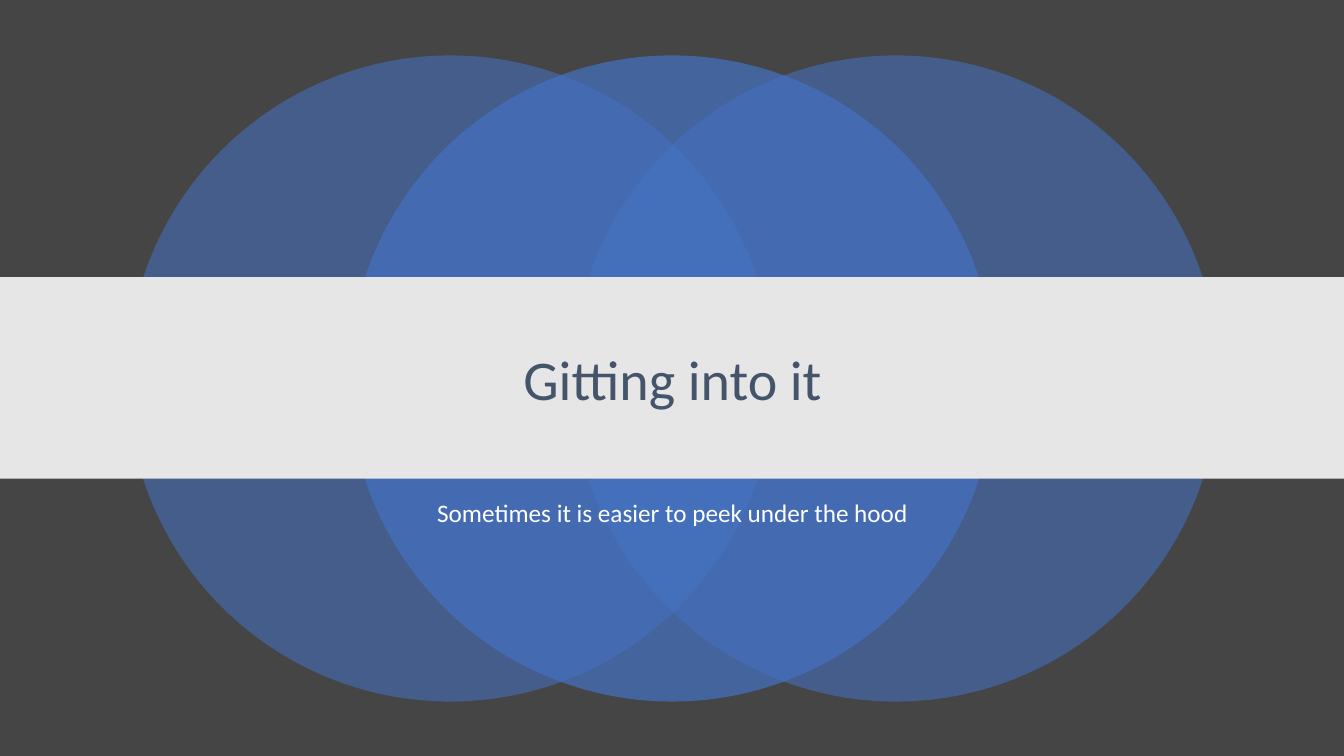
from dataclasses import dataclass

from lxml import etree
from pptx import Presentation
from pptx.dml.color import RGBColor
from pptx.enum import shapes, text
from pptx.oxml import ns
from pptx.util import Inches, Pt

CHARCOAL = RGBColor(0x45, 0x45, 0x45)
BLUE = RGBColor(0x44, 0x72, 0xC4)
LIGHT_GRAY = RGBColor(0xE7, 0xE6, 0xE6)
SLATE = RGBColor(0x44, 0x54, 0x6A)
WHITE = RGBColor(0xFF, 0xFF, 0xFF)
FONT = "Calibri"
SLIDE_WIDTH, SLIDE_HEIGHT = 13.33, 7.5
DIAMETER = 6.41
CIRCLE_TOP = 0.55


@dataclass(frozen=True)
class Circle:
    left: float
    opacity: int


CIRCLES = [Circle(1.26, 55), Circle(5.68, 55), Circle(3.46, 70)]


def add_filled_shape(page, kind, left: float, top: float, width: float,
                     height: float, color: RGBColor, opacity: int = 100):
    shape = page.shapes.add_shape(
        kind, Inches(left), Inches(top), Inches(width), Inches(height))
    shape.shadow.inherit = False
    shape.line.fill.background()
    shape.fill.solid()
    shape.fill.fore_color.rgb = color
    if opacity < 100:
        swatch = shape.element.spPr.find(".//" + ns.qn("a:srgbClr"))
        etree.SubElement(swatch, ns.qn("a:alpha"), val=str(opacity * 1000))
    return shape


def write_text(box, words: str, *, top: float, height: float, size: float,
               color: RGBColor, anchor, space_before: float = 0) -> None:
    box.left, box.top = Inches(1.67), Inches(top)
    box.width, box.height = Inches(10), Inches(height)
    frame = box.text_frame
    frame.word_wrap = True
    frame.auto_size = text.MSO_AUTO_SIZE.NONE
    frame.vertical_anchor = anchor
    para = frame.paragraphs[0]
    para.alignment = text.PP_ALIGN.CENTER
    para.line_spacing = 0.9
    para.space_before = Pt(space_before)
    span = para.add_run()
    span.text = words
    span.font.name = FONT
    span.font.size = Pt(size)
    span.font.color.rgb = color


def main() -> None:
    deck = Presentation()
    deck.slide_width = Inches(SLIDE_WIDTH)
    deck.slide_height = Inches(SLIDE_HEIGHT)
    page = deck.slides.add_slide(deck.slide_layouts[0])
    page.background.fill.solid()
    page.background.fill.fore_color.rgb = CHARCOAL
    title, subtitle = page.shapes.title, page.placeholders[1]

    for circle in CIRCLES:
        add_filled_shape(page, shapes.MSO_SHAPE.OVAL, circle.left, CIRCLE_TOP,
                         DIAMETER, DIAMETER, BLUE, circle.opacity)
    band = add_filled_shape(page, shapes.MSO_SHAPE.RECTANGLE, 0, 2.75,
                            SLIDE_WIDTH, 2, LIGHT_GRAY)

    write_text(subtitle, "Sometimes it is easier to peek under the hood",
               top=4.92, height=0.83, size=18, color=WHITE,
               anchor=text.MSO_ANCHOR.TOP, space_before=10)
    write_text(title, "Gitting into it", top=3.04, height=1.51, size=40,
               color=SLATE, anchor=text.MSO_ANCHOR.MIDDLE)

    band.element.addprevious(subtitle.element)
    band.element.addnext(title.element)
    deck.save("out.pptx")


if __name__ == "__main__":
    main()
